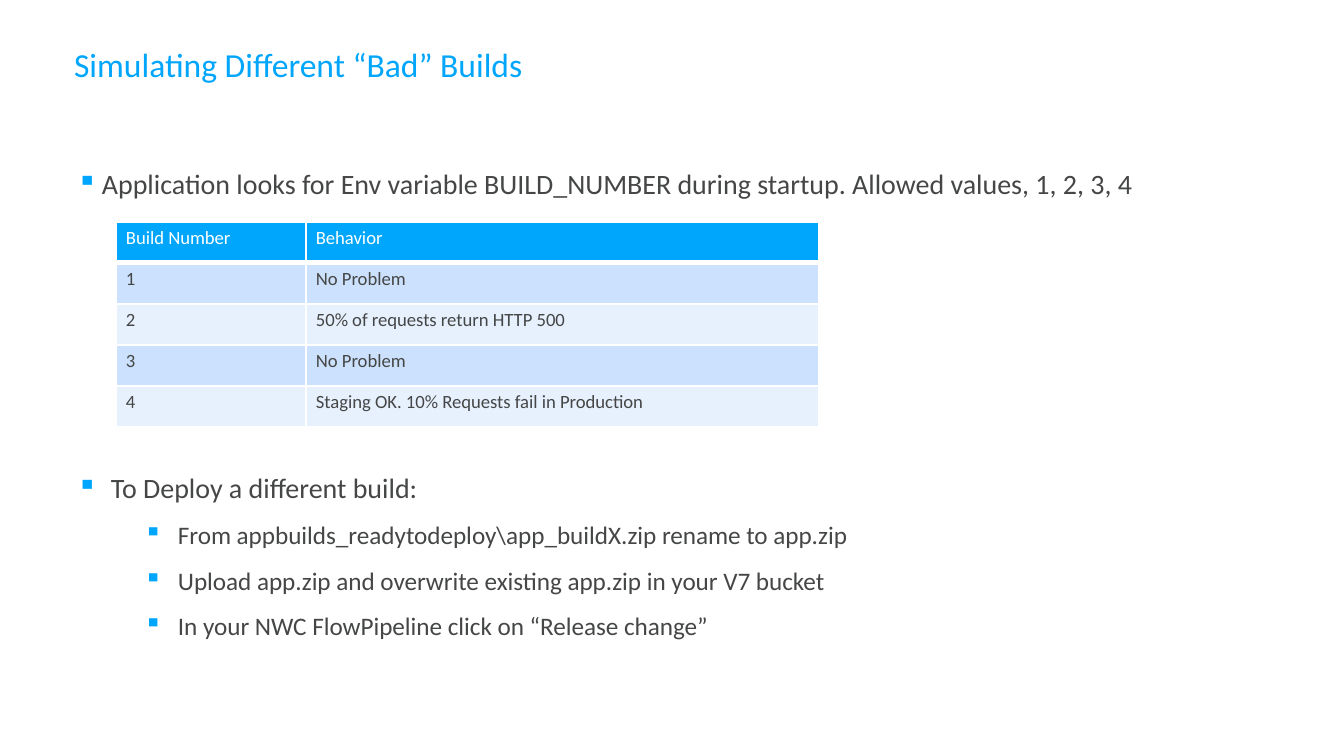
"""Build the slide on simulating different bad builds."""
from dataclasses import dataclass

import lxml.etree
import pptx
import pptx.dml.color
import pptx.enum.text
import pptx.oxml.ns
import pptx.util

EMU_PER_PX = 914400 / 134.4


@dataclass(frozen=True)
class Theme:
    font: str = "Calibri"
    accent: str = "00A6FB"
    ink: str = "454646"
    white: str = "FFFFFF"
    band_dark: str = "CCE1FD"
    band_light: str = "E7F1FE"
    title_size: float = 18
    body_size: float = 15
    step_size: float = 13.5
    table_size: float = 10


@dataclass(frozen=True)
class Box:
    left: int
    top: int
    width: int
    height: int


@dataclass(frozen=True)
class Bullet:
    text: str
    size: float
    margin: int
    hanging: int
    level: int = 0
    before: float = 0


THEME = Theme()
TITLE_BOX = Box(74, 23, 1188, 74)
INTRO_BOX = Box(77, 160, 1188, 54)
TABLE_BOX = Box(116, 222, 703, 205)
DEPLOY_BOX = Box(77, 464, 1188, 190)
COLUMN_WIDTHS = (190, 513)

BUILDS = (
    ("Build Number", "Behavior"),
    ("1", "No Problem"),
    ("2", "50% of requests return HTTP 500"),
    ("3", "No Problem"),
    ("4", "Staging OK. 10% Requests fail in Production"),
)
INTRO = (
    Bullet(
        "Application looks for Env variable BUILD_NUMBER during startup. Allowed values, 1, 2, 3, 4",
        THEME.body_size, 25, 25,
    ),
)
STEPS = (
    "From appbuilds_readytodeploy\\app_buildX.zip rename to app.zip",
    "Upload app.zip and overwrite existing app.zip in your V7 bucket",
    "In your NWC FlowPipeline click on “Release change”",
)
DEPLOY = (
    Bullet("To Deploy a different build:", THEME.body_size, 34, 34),
    *(Bullet(step, THEME.step_size, 101, 34, level=1, before=5) for step in STEPS),
)


def px(length: int) -> pptx.util.Emu:
    """Turn pixels into EMU."""
    return pptx.util.Emu(round(length * EMU_PER_PX))


def rgb(color: str) -> pptx.dml.color.RGBColor:
    """Turn a hex string into a colour."""
    return pptx.dml.color.RGBColor.from_string(color)


def bounds(box: Box) -> tuple:
    """Return the four lengths of a box in EMU."""
    return px(box.left), px(box.top), px(box.width), px(box.height)


def add_run(paragraph, text: str, size: float, color: str) -> None:
    """Add one formatted run to a paragraph."""
    run = paragraph.add_run()
    run.text = text
    run.font.name = THEME.font
    run.font.size = pptx.util.Pt(size)
    run.font.color.rgb = rgb(color)


def add_solid_color(parent, tag: str, color: str) -> None:
    """Append an element that holds one RGB colour."""
    holder = lxml.etree.SubElement(parent, pptx.oxml.ns.qn(tag))
    lxml.etree.SubElement(holder, pptx.oxml.ns.qn("a:srgbClr"), val=color)


def prepare_frame(frame) -> None:
    """Remove the insets and turn on wrapping."""
    frame.margin_left = frame.margin_right = 0
    frame.margin_top = frame.margin_bottom = 0
    frame.word_wrap = True
    frame.auto_size = pptx.enum.text.MSO_AUTO_SIZE.NONE


def draw_title(slide, text: str) -> None:
    """Place and format the title placeholder."""
    title = slide.shapes.title
    title.left, title.top, title.width, title.height = bounds(TITLE_BOX)
    frame = title.text_frame
    prepare_frame(frame)
    frame.vertical_anchor = pptx.enum.text.MSO_ANCHOR.MIDDLE
    heading = frame.paragraphs[0]
    heading.alignment = pptx.enum.text.PP_ALIGN.LEFT
    heading.line_spacing = 1.2
    add_run(heading, text, THEME.title_size, THEME.accent)


def draw_bullets(slide, box: Box, bullets: tuple[Bullet, ...]) -> None:
    """Draw a text box of bulleted paragraphs."""
    frame = slide.shapes.add_textbox(*bounds(box)).text_frame
    prepare_frame(frame)
    for index, bullet in enumerate(bullets):
        paragraph = frame.add_paragraph() if index else frame.paragraphs[0]
        paragraph.level = bullet.level
        paragraph.line_spacing = 1.2
        paragraph.space_before = pptx.util.Pt(bullet.before)
        properties = paragraph._p.get_or_add_pPr()
        properties.set("marL", str(px(bullet.margin)))
        properties.set("indent", str(-px(bullet.hanging)))
        add_solid_color(properties, "a:buClr", THEME.accent)
        lxml.etree.SubElement(properties, pptx.oxml.ns.qn("a:buChar"), char="▪")
        add_run(paragraph, bullet.text, bullet.size, THEME.ink)


def draw_borders(cell, bottom: float) -> None:
    """Give a cell white borders."""
    properties = cell._tc.get_or_add_tcPr()
    for side, width in (("L", 1), ("R", 1), ("T", 1), ("B", bottom)):
        line = lxml.etree.SubElement(
            properties, pptx.oxml.ns.qn(f"a:ln{side}"), w=str(pptx.util.Pt(width))
        )
        add_solid_color(line, "a:solidFill", THEME.white)


def draw_builds(slide) -> None:
    """Draw the table of build numbers and behaviors."""
    table = slide.shapes.add_table(len(BUILDS), len(COLUMN_WIDTHS), *bounds(TABLE_BOX)).table
    for column, width in zip(table.columns, COLUMN_WIDTHS):
        column.width = px(width)
    for index, (row, texts) in enumerate(zip(table.rows, BUILDS)):
        row.height = px(TABLE_BOX.height // len(BUILDS))
        band = THEME.band_dark if index % 2 else THEME.band_light
        for cell, text in zip(row.cells, texts):
            cell.margin_left = cell.margin_right = px(10)
            cell.margin_top = cell.margin_bottom = px(5)
            draw_borders(cell, 1 if index else 3)
            cell.fill.solid()
            cell.fill.fore_color.rgb = rgb(band if index else THEME.accent)
            add_run(
                cell.text_frame.paragraphs[0], text, THEME.table_size,
                THEME.ink if index else THEME.white,
            )


def main() -> None:
    """Build and save the presentation."""
    deck = pptx.Presentation()
    deck.slide_width, deck.slide_height = px(1344), px(756)
    slide = deck.slides.add_slide(deck.slide_layouts[5])
    draw_title(slide, "Simulating Different “Bad” Builds")
    draw_bullets(slide, INTRO_BOX, INTRO)
    draw_builds(slide)
    draw_bullets(slide, DEPLOY_BOX, DEPLOY)
    deck.save("out.pptx")


if __name__ == "__main__":
    main()
